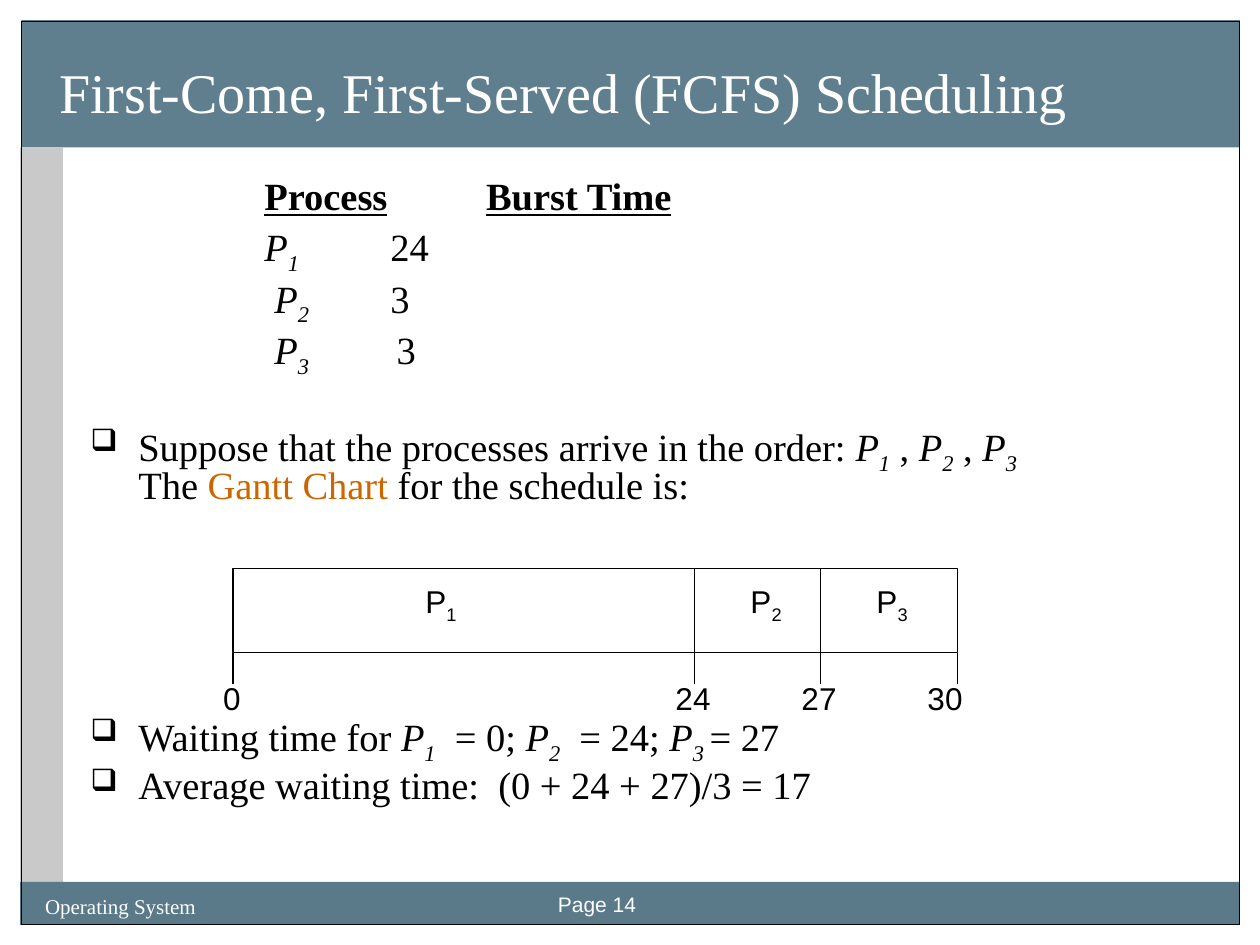
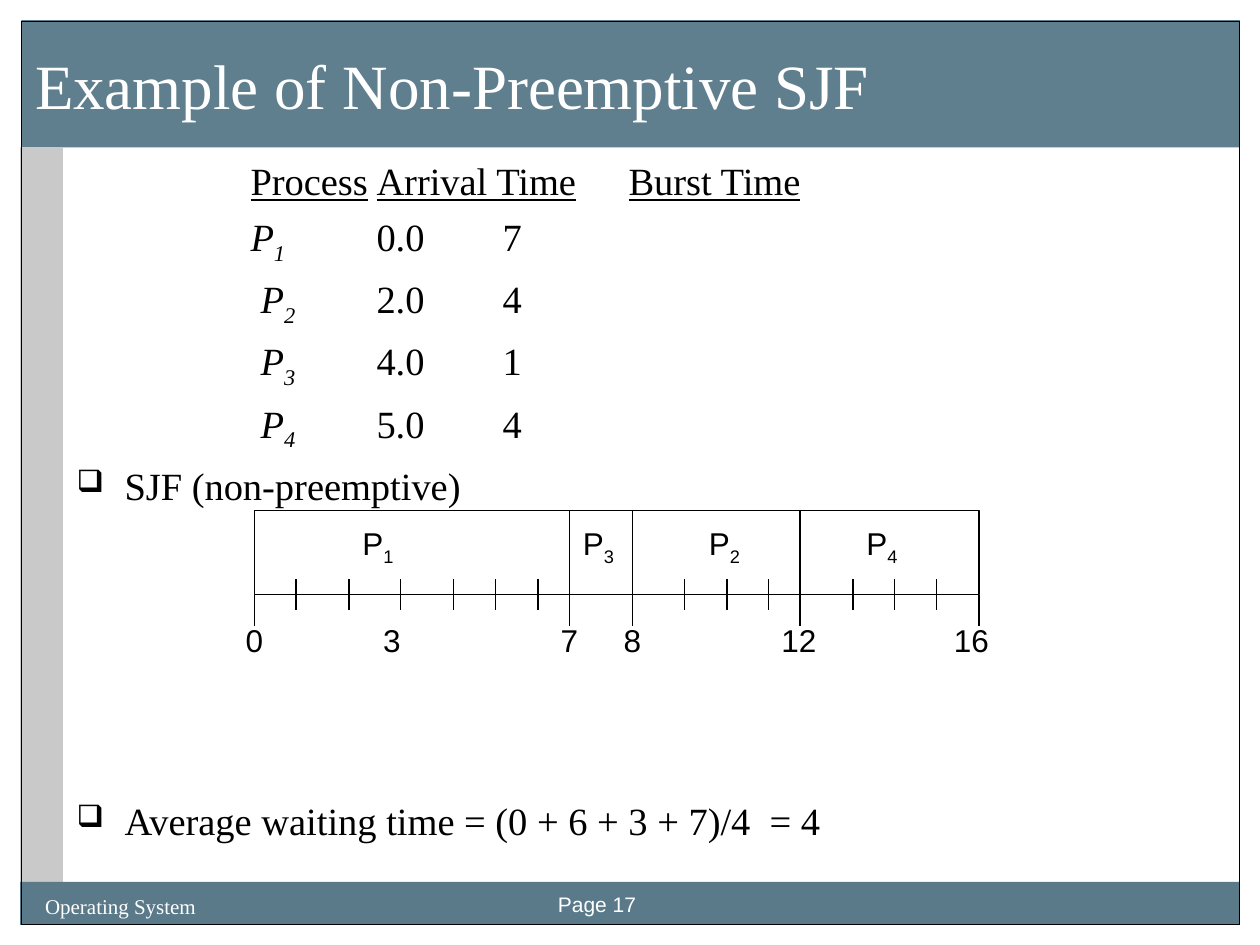
import pptx
import pptx.util
import pptx.dml.color
import pptx.enum.shapes
import pptx.enum.text
from lxml import etree

COLORS = {"band": "3E6376", "side": "C9C9C9", "ink": "000000",
          "paper": "FFFFFF", "accent": "CC6600"}
SERIF, SANS = "Times New Roman", "Arial"
SLIDE_W, SLIDE_H = pptx.util.Inches(10), pptx.util.Inches(7.5)
CELL = SLIDE_W / 10  # square grid: 10 columns by 7.5 rows
HANG = 0.38          # bullet indent, in columns
TABLE_X = 1.38       # start of the process column inside the body
NEXT = "\t\t"        # one column on: two half-column tab stops
BAR_H, TICK_H = 0.67, 0.25
NS = "http://schemas.openxmlformats.org/drawingml/2006/main"
ANCHOR = pptx.enum.text.MSO_ANCHOR


def grid(*cells):
    return [pptx.util.Emu(round(c * CELL)) for c in cells]


def rgb(name):
    return pptx.dml.color.RGBColor.from_string(COLORS[name])


def sub(parent, tag, **attrs):
    return etree.SubElement(parent, f"{{{NS}}}{tag}", **attrs)


def add_rect(slide, box, fill=None, line=None, alpha=None):
    kind = pptx.enum.shapes.MSO_SHAPE.RECTANGLE
    sp = slide.shapes.add_shape(kind, *grid(*box))
    sp.shadow.inherit = False
    if fill:
        sp.fill.solid()
        sp.fill.fore_color.rgb = rgb(fill)
        if alpha:
            color = sp.fill._xPr.find(f".//{{{NS}}}srgbClr")
            sub(color, "alpha", val=str(alpha * 1000))
    else:
        sp.fill.background()
    if line:
        sp.line.color.rgb = rgb(line)
        sp.line.width = pptx.util.Pt(0.75)
    else:
        sp.line.fill.background()


def add_vline(slide, x, top, height):
    kind = pptx.enum.shapes.MSO_CONNECTOR.STRAIGHT
    c = slide.shapes.add_connector(kind, *grid(x, top, x, top + height))
    c.line.color.rgb = rgb("ink")
    c.line.width = pptx.util.Pt(0.75)
    sub(c._element.spPr, "effectLst")


def add_frame(slide, box, anchor=ANCHOR.TOP, wrap=True,
              insets=(0.1, 0.05, 0.1, 0.05)):
    tf = slide.shapes.add_textbox(*grid(*box)).text_frame
    tf.word_wrap = wrap
    tf.vertical_anchor = anchor
    (tf.margin_left, tf.margin_top,
     tf.margin_right, tf.margin_bottom) = grid(*insets)
    return tf


def write(p, runs, size, font=SERIF, color="ink"):
    """Runs are (text, style); styles: b, u, i, s (subscript), a (accent)."""
    p.font.size, p.font.name = pptx.util.Pt(size), font
    p.font.color.rgb = rgb(color)
    for text, style in runs:
        if text == "\n":
            p.add_line_break()
            continue
        r = p.add_run()
        r.text = text
        if "b" in style:
            r.font.bold = True
        if "u" in style:
            r.font.underline = True
        if "i" in style:
            r.font.italic = True
        if "s" in style:
            r.font._element.set("baseline", "-25000")
        if "a" in style:
            r.font.color.rgb = rgb("accent")


def process(n, style="i"):
    return [("P", style), (str(n), style + "s")]


def plain(text):
    return [(text, "")]


def add_title(slide, text, box, size, anchor, insets):
    tf = add_frame(slide, box, anchor, insets=insets)
    write(tf.paragraphs[0], plain(text), size, color="paper")


def add_base(prs, page):
    """Blank slide with bands, frame and footer."""
    slide = prs.slides.add_slide(prs.slide_layouts[6])
    add_rect(slide, (0.17, 0.16, 9.67, 1.01), "band", alpha=82)
    add_rect(slide, (0.16, 1.17, 0.34, 5.83), "side")
    add_rect(slide, (0.16, 7, 9.68, 0.34), "band", alpha=85)
    add_rect(slide, (0.17, 0.17, 9.67, 7.17), line="ink")
    for text, box, font in (
            ("Operating System", (0.26, 7.04, 1.67, 0.27), SERIF),
            (f"Page {page}", (4.33, 7.03, 1.5, 0.27), SANS)):
        tf = add_frame(slide, box)
        write(tf.paragraphs[0], plain(text), 12, font, "paper")
    return slide


def row(runs, left=TABLE_X, first=0):
    return {"runs": runs, "left": left, "first": first}


def bullet(runs, before=5.5):
    return {"runs": runs, "left": HANG, "first": -HANG,
            "before": before, "bullet": True}


def add_body(slide, box, items, line_spacing):
    tf = add_frame(slide, box)
    for k, item in enumerate(items):
        p = tf.add_paragraph() if k else tf.paragraphs[0]
        p.line_spacing = line_spacing
        p.space_before = pptx.util.Pt(item.get("before", 5.5) if k else 0)
        pPr = p._p.get_or_add_pPr()
        left, first = grid(item["left"], item["first"])
        pPr.set("marL", str(left))
        pPr.set("indent", str(first))
        if item.get("bullet"):
            sub(sub(pPr, "buClr"), "srgbClr", val=COLORS["ink"])
            sub(pPr, "buSzPct", val="80000")
            sub(pPr, "buChar", char="❑")
        else:
            sub(pPr, "buNone")
        write(p, item["runs"], 22)


def add_label(slide, runs, center, top, width, height):
    box = (center - width / 2, top, width, height)
    p = add_frame(slide, box, ANCHOR.MIDDLE, wrap=False).paragraphs[0]
    p.alignment = pptx.enum.text.PP_ALIGN.CENTER
    write(p, runs, 18, SANS)


def add_gantt(slide, top, bounds, jobs, times, unit_ticks=()):
    """Bounds and ticks are columns; jobs and times map a number to its centre."""
    bottom = top + BAR_H
    add_rect(slide, (bounds[0], top, bounds[-1] - bounds[0], BAR_H),
             "paper", "ink")
    for x in bounds:
        add_vline(slide, x, bottom, TICK_H)
    for x in bounds[1:-1]:
        add_vline(slide, x, top, BAR_H)
    for x in unit_ticks:
        add_vline(slide, x, bottom - TICK_H / 2, TICK_H)
    for n, x in jobs.items():
        add_label(slide, process(n, ""), x, top + 0.06, 0.45, 0.44)
    for t, x in times.items():
        add_label(slide, plain(str(t)), x, top + 0.83, 0.48, 0.4)


def add_fcfs(prs):
    slide = add_base(prs, 14)
    add_title(slide, "First-Come, First-Served (FCFS) Scheduling",
              (0.17, 0.21, 9.64, 0.91), 32, ANCHOR.BOTTOM,
              (0.3, 0.05, 0.1, 0.13))
    order = (plain("Suppose that the processes arrive in the order: ")
             + process(1) + plain(" , ") + process(2) + plain(" , ")
             + process(3) + [("\n", ""), ("The ", ""), ("Gantt Chart", "a"),
                             (" for the schedule is:", "")])
    waiting = (plain("Waiting time for ") + process(1) + plain("  = 0; ")
               + process(2) + plain("  = 24; ") + process(3)
               + [(" ", "s"), ("= 27", "")])
    add_body(slide, (0.62, 1.39, 8.87, 5.43), [
        row([("Process", "bu"), (NEXT, ""), ("Burst Time", "bu")],
            TABLE_X + 0.76, -0.76),
        row(process(1) + plain(NEXT + "24")),
        row(process(2) + plain(NEXT + "3"), first=0.08),
        row(process(3) + plain(NEXT + "3"), TABLE_X + 0.05, 0.03),
        bullet(order, before=31.5),
        bullet(waiting, before=120.5),
        bullet(plain("Average waiting time:  (0 + 24 + 27)/3 = 17")),
    ], 0.8)
    add_gantt(slide, 4.51, (1.85, 5.51, 6.51, 7.6),
              {1: 3.5, 2: 6.08, 3: 7.08},
              {0: 1.84, 24: 5.5, 27: 6.5, 30: 7.5})


def add_sjf(prs):
    slide = add_base(prs, 17)
    jobs = [("0.0", 7), ("2.0", 4), ("4.0", 1), ("5.0", 4)]
    rows = [row(process(n) + plain(f"{NEXT}{arrival}{NEXT}{burst}"),
                first=0.08 if n > 1 else 0)
            for n, (arrival, burst) in enumerate(jobs, 1)]
    header = row([("Process", "u"), ("\t", ""), ("Arrival Time", "u"),
                  ("\t", ""), ("Burst Time", "u")])
    add_body(slide, (0.51, 1.2, 9.25, 5.73), [
        header, *rows,
        bullet(plain("SJF (non-preemptive)")),
        bullet(plain("Average waiting time = (0 + 6 + 3 + 7)/4  = 4"),
               before=165),
    ], 1.0)
    add_title(slide, "Example of Non-Preemptive SJF", (0.18, 0.17, 9.67, 1),
              36, ANCHOR.MIDDLE, (0.1, 0.05, 0.1, 0.05))
    add_gantt(slide, 4.05, (2.02, 4.52, 5.02, 6.35, 7.77),
              {1: 3, 3: 4.75, 2: 5.75, 4: 7},
              {0: 2.02, 3: 3.11, 7: 4.52, 8: 5.02, 12: 6.34, 16: 7.71},
              (2.35, 2.77, 3.18, 3.6, 3.93, 4.27,
               5.43, 5.77, 6.1, 6.77, 7.1, 7.43))


def main():
    prs = pptx.Presentation()
    prs.slide_width, prs.slide_height = SLIDE_W, SLIDE_H
    add_fcfs(prs)
    add_sjf(prs)
    prs.save("out.pptx")


if __name__ == "__main__":
    main()
